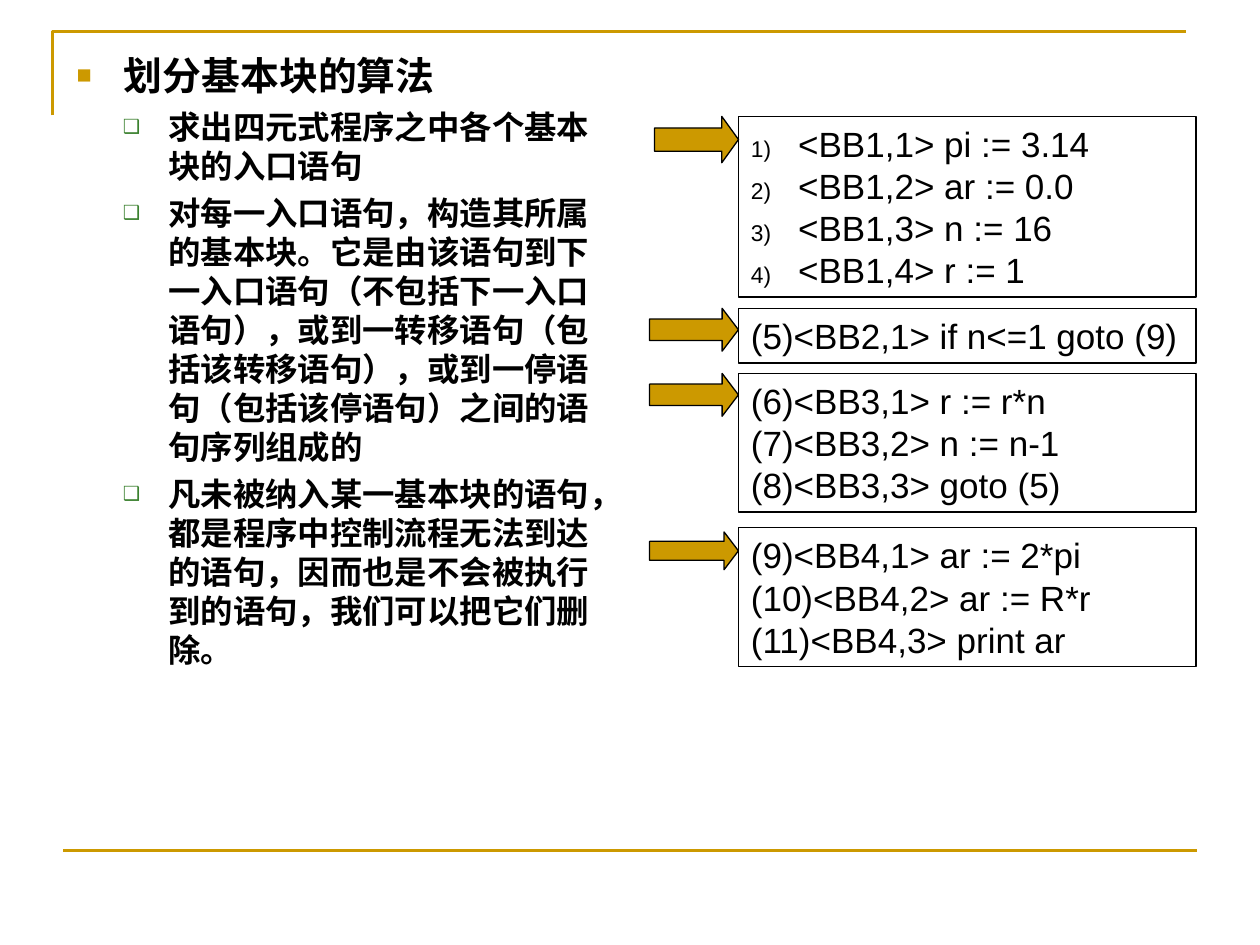
from dataclasses import dataclass

from lxml.etree import SubElement
from pptx import Presentation
from pptx.dml.color import RGBColor
from pptx.enum.lang import MSO_LANGUAGE_ID
from pptx.enum.shapes import MSO_CONNECTOR, MSO_SHAPE
from pptx.enum.text import MSO_ANCHOR, PP_ALIGN
from pptx.oxml.ns import qn
from pptx.util import Pt


@dataclass(frozen=True)
class Theme:
    font: str = "Arial"
    gold: RGBColor = RGBColor(0xCC, 0x99, 0x00)
    green: RGBColor = RGBColor(0x3B, 0x81, 0x2F)
    black: RGBColor = RGBColor(0, 0, 0)
    heading_size: float = 22.2
    step_size: float = 18.5
    code_size: float = 20
    rule_width: float = 1.5
    outline_width: float = 0.75


@dataclass(frozen=True)
class Bullet:
    kind: str
    value: str
    color: RGBColor
    percent: int
    margin: float
    hang: float


@dataclass(frozen=True)
class Arrow:
    left: float
    top: float
    height: float
    head: float


@dataclass(frozen=True)
class Block:
    top: float
    lines: tuple[str, ...]
    arrow: Arrow
    bullet: Bullet | None = None


THEME = Theme()
SQUARE = Bullet("buChar", "■", THEME.gold, 65, 27, 27)
HOLLOW = Bullet("buChar", "❑", THEME.green, 60, 52.5, 26)
NUMBER = Bullet("buAutoNum", "arabicParenR", THEME.black, 65, 27, 27)

BLOCK_LEFT, BLOCK_WIDTH = 422, 261.5
LINE_HEIGHT, BLOCK_PADDING = 24, 7.2

HEADING = "划分基本块的算法"
STEPS = (
    "求出四元式程序之中各个基本块的入口语句",
    "对每一入口语句，构造其所属的基本块。它是由该语句到下一入口语句（不包括下一入口语句），"
    "或到一转移语句（包括该转移语句），或到一停语句（包括该停语句）之间的语句序列组成的",
    "凡未被纳入某一基本块的语句，都是程序中控制流程无法到达的语句，"
    "因而也是不会被执行到的语句，我们可以把它们删除。",
)
BLOCKS = (
    Block(66.5, ("<BB1,1> pi := 3.14", "<BB1,2> ar := 0.0", "<BB1,3> n := 16", "<BB1,4> r := 1"),
          Arrow(374, 66.5, 26.5, 0.36), NUMBER),
    Block(176.2, ("(5)<BB2,1> if n<=1 goto (9)",), Arrow(371.2, 176.2, 24.5, 0.38)),
    Block(213.4, ("(6)<BB3,1> r := r*n", "(7)<BB3,2> n := n-1", "(8)<BB3,3> goto (5)"),
          Arrow(371.2, 213.4, 24.5, 0.38)),
    Block(301.6, ("(9)<BB4,1> ar := 2*pi", "(10)<BB4,2> ar := R*r", "(11)<BB4,3> print ar"),
          Arrow(371.2, 304, 21.6, 0.38)),
)


def set_bullet(para, bullet: Bullet) -> None:
    """Give a paragraph a hanging bullet or number."""
    properties = para._p.get_or_add_pPr()
    properties.set("marL", str(Pt(bullet.margin)))
    properties.set("indent", str(-Pt(bullet.hang)))
    color = SubElement(properties, qn("a:buClr"))
    SubElement(color, qn("a:srgbClr")).set("val", str(bullet.color))
    SubElement(properties, qn("a:buSzPct")).set("val", str(bullet.percent * 1000))
    SubElement(properties, qn("a:buFont")).set("typeface", THEME.font)
    mark = SubElement(properties, qn(f"a:{bullet.kind}"))
    mark.set("char" if bullet.kind == "buChar" else "type", bullet.value)


def add_paragraph(frame, text: str, size: float, bullet: Bullet | None = None,
                  bold: bool = False, before: float = 0, level: int = 0) -> None:
    """Write one paragraph, using the empty first one if it is free."""
    first = frame.paragraphs[0]
    para = frame.add_paragraph() if first.runs else first
    para.alignment = PP_ALIGN.LEFT
    para.level = level
    if before:
        para.space_before = Pt(before)
    if bullet:
        set_bullet(para, bullet)
    span = para.add_run()
    span.text = text
    span.font.name = THEME.font
    span.font.size = Pt(size)
    span.font.bold = bold
    span.font.color.rgb = THEME.black
    if bold:
        span.font.language_id = MSO_LANGUAGE_ID.SIMPLIFIED_CHINESE


def add_frame_lines(page) -> None:
    """Draw the gold corner and the gold line at the foot."""
    builder = page.shapes.build_freeform(Pt(30), Pt(66))
    builder.add_line_segments([(Pt(30), Pt(18)), (Pt(678), Pt(18))], close=False)
    corner = builder.convert_to_shape()
    corner.shadow.inherit = False
    corner.fill.background()
    foot = page.shapes.add_connector(MSO_CONNECTOR.STRAIGHT, Pt(36), Pt(486), Pt(684), Pt(486))
    SubElement(foot._element.spPr, qn("a:effectLst"))
    for rule in (corner, foot):
        rule.line.color.rgb = THEME.gold
        rule.line.width = Pt(THEME.rule_width)


def add_algorithm(page) -> None:
    """Write the heading and the steps of the algorithm."""
    box = page.shapes.add_textbox(Pt(36.7), Pt(26), Pt(319.7), Pt(385))
    frame = box.text_frame
    frame.word_wrap = True
    add_paragraph(frame, HEADING, THEME.heading_size, SQUARE, bold=True)
    for step in STEPS:
        add_paragraph(frame, step, THEME.step_size, HOLLOW, bold=True, before=5, level=1)


def add_outlined(page, kind: MSO_SHAPE, left: float, top: float, width: float, height: float):
    """Add a preset shape with a thin black outline."""
    shape = page.shapes.add_shape(kind, Pt(left), Pt(top), Pt(width), Pt(height))
    shape.shadow.inherit = False
    shape.line.color.rgb = THEME.black
    shape.line.width = Pt(THEME.outline_width)
    return shape


def add_block(page, block: Block) -> None:
    """Draw a basic block and the arrow that marks its entry."""
    height = BLOCK_PADDING + LINE_HEIGHT * len(block.lines)
    box = add_outlined(page, MSO_SHAPE.RECTANGLE, BLOCK_LEFT, block.top, BLOCK_WIDTH, height)
    box.fill.background()
    frame = box.text_frame
    frame.word_wrap = True
    frame.vertical_anchor = MSO_ANCHOR.TOP
    for line in block.lines:
        add_paragraph(frame, line, THEME.code_size, block.bullet)
    mark = block.arrow
    arrow = add_outlined(page, MSO_SHAPE.RIGHT_ARROW, mark.left, mark.top,
                         BLOCK_LEFT - mark.left, mark.height)
    arrow.fill.solid()
    arrow.fill.fore_color.rgb = THEME.gold
    arrow.adjustments[1] = mark.head


def main() -> None:
    """Build the slide and save it."""
    deck = Presentation()
    deck.slide_width, deck.slide_height = Pt(720), Pt(540)
    page = deck.slides.add_slide(deck.slide_layouts[6])
    add_frame_lines(page)
    add_algorithm(page)
    for block in BLOCKS:
        add_block(page, block)
    deck.save("out.pptx")


if __name__ == "__main__":
    main()
